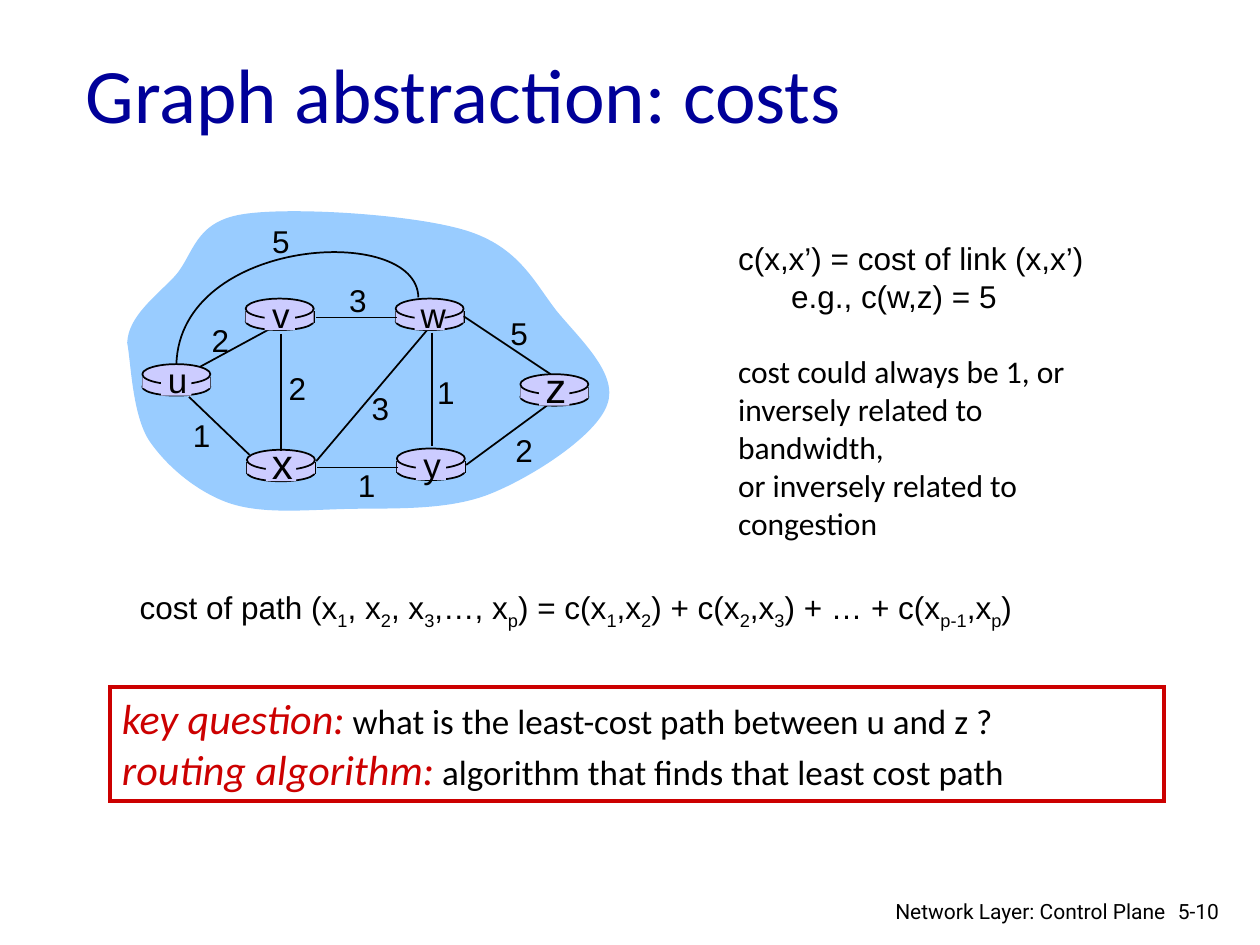
from pptx import Presentation
from pptx import util as u
from pptx.dml.color import RGBColor
from pptx.enum import shapes, text
from pptx.oxml.ns import qn
from lxml import etree

COLORS = {"title": "000099", "cloud": "99CCFF", "router": "CCCCFF",
          "ink": "000000", "accent": "CC0000"}
SHAPE = shapes.MSO_SHAPE
ALIGN = text.PP_ALIGN

# Top left corner of each router's upper disc, and its letter size
ROUTERS = {"u": (1.13, 2.89, 20), "x": (1.96, 3.57, 24), "v": (1.95, 2.37, 20),
           "w": (3.14, 2.37, 20), "y": (3.15, 3.56, 20), "z": (4.13, 2.97, 24)}
ROUTER_W = 0.54

LINK_UV = (1.59, 2.91, 2.18, 2.59)
LINKS = [(3.43, 2.64, 3.43, 3.54), (2.23, 2.65, 2.23, 3.58),
         (2.51, 3.66, 3.39, 2.62), (3.7, 3.69, 4.34, 3.22),
         (3.16, 3.71, 2.52, 3.71), (1.98, 3.61, 1.5, 3.15),
         (3.15, 2.52, 2.51, 2.52), (4.37, 2.97, 3.68, 2.51)]
COSTS = [("2", 1.58, 2.5), ("2", 2.19, 2.88), ("1", 1.43, 3.25), ("3", 2.85, 3.04),
         ("1", 2.74, 3.65), ("1", 3.37, 2.91), ("2", 3.99, 3.37), ("5", 3.95, 2.44),
         ("3", 2.67, 2.18), ("5", 2.06, 1.71)]

# Curves: a start point, then two control points and an end per segment
CLOUD = [(1.01, 2.72), (1.02, 2.51), (1.23, 2.36), (1.39, 2.19),
         (1.54, 2.02), (1.54, 1.76), (1.93, 1.7), (2.31, 1.64), (3.28, 1.7), (3.7, 1.83),
         (4.12, 1.96), (4.24, 2.24), (4.42, 2.47), (4.61, 2.7), (4.91, 2.97), (4.82, 3.21),
         (4.74, 3.45), (4.24, 3.78), (3.89, 3.92), (3.54, 4.06), (3.08, 4.03), (2.73, 4.04),
         (2.39, 4.05), (2.07, 4.08), (1.81, 3.99), (1.56, 3.9), (1.32, 3.7), (1.18, 3.49),
         (1.05, 3.28), (1.04, 2.88), (1.01, 2.72)]
LINK_UW = [(3.32, 2.36), (3.31, 1.77), (1.43, 1.88), (1.4, 2.89)]

# Subscripts stand between bars
PATH_COST = ("cost of path (x|1|, x|2|, x|3|,…, x|p|) = c(x|1|,x|2|) + "
             "c(x|2|,x|3|) + … + c(x|p-1|,x|p|)")


def rgb(name):
    return RGBColor.from_string(COLORS[name])


def box(*lengths):
    return [u.Inches(value) for value in lengths]


def paint(shape, fill=None, line=None, weight=1):
    shape.shadow.inherit = False
    if fill:
        shape.fill.solid()
        shape.fill.fore_color.rgb = rgb(fill)
    else:
        shape.fill.background()
    if line:
        shape.line.color.rgb = rgb(line)
        shape.line.width = u.Pt(weight)
    else:
        shape.line.fill.background()


def add_run(paragraph, words, size, name="Arial", color="ink", italic=False, sub=False):
    run = paragraph.add_run()
    run.text = words
    for key, value in {"size": u.Pt(size), "name": name, "italic": italic}.items():
        setattr(run.font, key, value)
    run.font.color.rgb = rgb(color)
    if sub:
        run.font._element.set("baseline", "-25000")


def write(frame, lines, align=ALIGN.LEFT, wrap=True):
    """Each line is a list of (words, run format) pairs."""
    frame.word_wrap = wrap
    frame.vertical_anchor = text.MSO_ANCHOR.TOP
    for i, runs in enumerate(lines):
        paragraph = frame.add_paragraph() if i else frame.paragraphs[0]
        paragraph.alignment = align
        for words, style in runs:
            add_run(paragraph, words, **style)


def add_text(slide, place, lines, **layout):
    frame = slide.shapes.add_textbox(*box(*place)).text_frame
    write(frame, lines, **layout)
    return frame


def add_label(slide, center, top, letter, size):
    add_text(slide, (center - 0.18, top, 0.36, size / 48), [[(letter, {"size": size})]],
             align=ALIGN.CENTER, wrap=False)


def add_preset(slide, kind, place, line=None):
    paint(slide.shapes.add_shape(kind, *box(*place)), "router", line)


def add_line(slide, *ends):
    line = slide.shapes.add_connector(shapes.MSO_CONNECTOR.STRAIGHT, *box(*ends))
    line.line.color.rgb = rgb("ink")
    line.line.width = u.Pt(1)
    etree.SubElement(line._element.spPr, qn("a:effectLst"))


def add_curve(slide, points, close, fill=None, line=None):
    start, *rest = [box(*point) for point in points]
    builder = slide.shapes.build_freeform(*start)
    builder.add_line_segments(rest, close=close)
    shape = builder.convert_to_shape()
    # Join every three straight steps into one Bezier segment
    steps = list(shape._element.iter(qn("a:lnTo")))
    for i in range(0, len(steps), 3):
        curve = etree.Element(qn("a:cubicBezTo"))
        steps[i].addprevious(curve)
        for step in steps[i:i + 3]:
            curve.append(step[0])
            step.getparent().remove(step)
    paint(shape, fill, line)


def add_router(slide, x, y):
    add_preset(slide, SHAPE.OVAL, (x, y + 0.11, ROUTER_W, 0.14), "ink")
    for side in (x, x + ROUTER_W):
        add_line(slide, side, y + 0.1, side, y + 0.19)
    add_preset(slide, SHAPE.RECTANGLE, (x, y + 0.1, ROUTER_W, 0.09))
    add_preset(slide, SHAPE.OVAL, (x, y, ROUTER_W, 0.16), "ink")


def add_graph(slide):
    add_curve(slide, CLOUD, close=True, fill="cloud")
    add_line(slide, *LINK_UV)
    for x, y, _ in ROUTERS.values():
        add_router(slide, x, y)
    for link in LINKS:
        add_line(slide, *link)
    add_curve(slide, LINK_UW, close=False, line="ink")
    for letter, (x, y, size) in ROUTERS.items():
        add_preset(slide, SHAPE.RECTANGLE, (x + 0.15, y + 0.02, 0.24, 0.23))
        add_label(slide, x + 0.28, y - (0.09 if size == 20 else 0.15), letter, size)
    for cost, x, y in COSTS:
        add_label(slide, x + 0.17, y, cost, 18)


def add_title(slide):
    title = slide.shapes.title
    title.left, title.top, title.width, title.height = box(0.58, 0.24, 8.5, 0.99)
    write(title.text_frame, [[("Graph abstraction: costs",
                               {"size": 44, "name": "Calibri", "color": "title"})]])
    title.text_frame.vertical_anchor = text.MSO_ANCHOR.MIDDLE


def add_cost_notes(slide):
    arial, calibri = {"size": 18}, {"size": 18, "name": "Calibri"}
    notes = add_text(slide, (5.76, 1.85, 3.34, 2.2), [
        [("c(x,x’) = cost of link (x,x’)", arial)],
        [("e.g., c(w,z) = 5", arial)],
        [("cost could always be 1, or", calibri)],
        [("inversely related to bandwidth,", calibri)],
        [("or inversely related to", calibri)],
        [("congestion", calibri)]])
    notes.margin_right = u.Inches(0.25)
    _, example, remark = notes.paragraphs[:3]
    example._p.get_or_add_pPr().set("marL", str(u.Inches(0.42)))
    remark.space_before = u.Pt(21.5)


def add_key_question(slide):
    frame = slide.shapes.add_shape(SHAPE.RECTANGLE, *box(0.87, 5.45, 8.37, 0.91))
    paint(frame, line="accent", weight=2.25)
    etree.SubElement(frame.line._get_or_add_ln(), qn("a:miter"), lim="800000")
    term = {"size": 24, "name": "Calibri", "color": "accent", "italic": True}
    plain = {"size": 20, "name": "Calibri"}
    write(frame.text_frame, [
        [("key question:", term), (" what is the least-cost path between u and z ?", plain)],
        [("routing algorithm:", term), (" algorithm that finds that least cost path", plain)]])


def main():
    deck = Presentation()
    deck.slide_width, deck.slide_height = box(10, 7.5)
    slide = deck.slides.add_slide(deck.slide_layouts[5])

    add_title(slide)
    add_graph(slide)
    add_cost_notes(slide)

    # Path cost formula
    add_text(slide, (1.01, 4.62, 7.39, 0.4),
             [[(part, {"size": 18, "sub": i % 2 == 1})
               for i, part in enumerate(PATH_COST.split("|"))]])
    add_key_question(slide)

    # Footer
    small = {"size": 12, "name": "Roboto"}
    add_text(slide, (9.25, 7.08, 0.6, 0.3), [[("5-10", small)]])
    add_text(slide, (6.97, 7.08, 2.38, 0.26), [[("Network Layer: Control Plane", small)]],
             align=ALIGN.RIGHT)
    deck.save("out.pptx")


if __name__ == "__main__":
    main()
